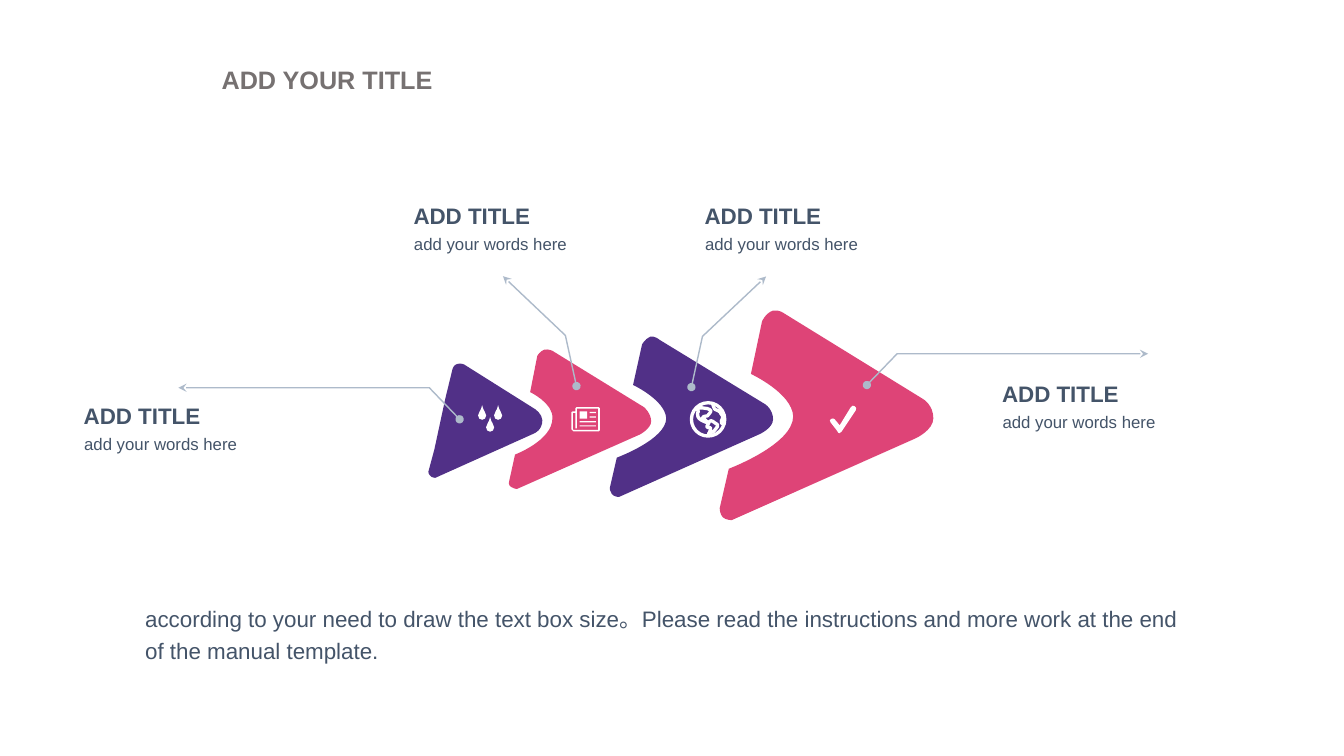
from lxml import etree
from pptx import Presentation
from pptx.dml.color import RGBColor
from pptx.enum import shapes, text
from pptx.oxml import ns
from pptx.util import Pt

PINK, PURPLE, WHITE = "DE4477", "513087", "FFFFFF"
SLATE, GREY, LEADER = "445469", "767171", "ADBACA"
GLOBE_LINE = 2.38

# Outlines in points: (x, y) is a straight step, six numbers are a Bezier step.
ARROWS = [
    (PINK, [
        (666.7, 298.8), (666.7, 307.4, 653.8, 313.2, 653.8, 313.2),
        (522.7, 371.5), (522.7, 371.5, 518.4, 371.5, 516.2, 369.4),
        (514.1, 367.2, 514.1, 362.9, 514.1, 362.9), (520.6, 334.8),
        (520.6, 334.8, 566.6, 317.5, 566.6, 297.4),
        (565.9, 280.8, 536.4, 267.1, 536.4, 267.1), (544.3, 229.7),
        (544.3, 229.7, 546.5, 223.9, 552.2, 221.8),
        (556.6, 221, 560.2, 223.9, 560.2, 223.9), (659.5, 285.1),
        (659.5, 285.1, 666.7, 289.4, 666.7, 298.8)]),
    (PURPLE, [
        (552.2, 299.5), (552.2, 306, 542.2, 310.3, 542.2, 310.3),
        (442.1, 355), (442.1, 355, 438.5, 355, 437, 352.8),
        (435.6, 351.4, 435.6, 348.5, 435.6, 348.5), (440.6, 326.9),
        (440.6, 326.9, 475.9, 313.9, 475.9, 298.8),
        (475.2, 285.8, 452.2, 275, 452.2, 275), (458.6, 246.2),
        (458.6, 246.2, 460.1, 242.6, 464.4, 240.5),
        (468, 239.8, 470.9, 242.6, 470.9, 242.6), (546.5, 288.7),
        (546.5, 288.7, 552.2, 292.3, 552.2, 299.5)]),
    (PINK, [
        (465.1, 301), (465.1, 306, 457.2, 310.3, 457.2, 310.3),
        (369.4, 349.2), (369.4, 349.2, 366.5, 349.2, 365, 347.8),
        (362.9, 346.3, 363.6, 344.2, 363.6, 344.2), (367.9, 324.7),
        (367.9, 324.7, 394.6, 314.6, 394.6, 298.8),
        (395.3, 288, 378.7, 280.1, 378.7, 280.1), (383.8, 254.2),
        (383.8, 254.2, 385.9, 250.6, 388.8, 249.8),
        (391.7, 249.1, 394.6, 250.6, 394.6, 250.6), (460.1, 290.9),
        (460.1, 290.9, 465.1, 295.2, 465.1, 301)]),
    (PURPLE, [
        (318.2, 284.4), (323.3, 263.5), (323.3, 263.5, 324, 260.6, 326.9, 259.9),
        (329.8, 259.2, 331.9, 260.6, 331.9, 260.6), (382.3, 292.3),
        (382.3, 292.3, 387.4, 295.9, 387.4, 300.2),
        (387.4, 307.4, 381.6, 309.6, 381.6, 309.6), (311, 341.3),
        (311, 341.3, 308.9, 341.3, 308.2, 340.6),
        (306, 339.1, 306, 337, 306, 337), (310.3, 321.1)]),
]
LEADERS = [
    [(619.2, 275), (640.8, 252.7), (820.1, 252.7)],
    [(328.3, 299.5), (306.7, 277), (127.4, 277)],
    [(493.9, 276.5), (501.8, 240.3), (547.2, 197.5)],
    [(411.8, 275.8), (403.9, 239.6), (359.3, 197.3)],
]
DROP = [(0, 0), (-0.7, 4.3, -2.9, 5, -2.9, 7.4), (-2.9, 9.2, -1.6, 10.5, 0, 10.5),
        (1.6, 10.5, 2.9, 9.2, 2.9, 7.4), (2.9, 5, 0.7, 4.3, 0, 0)]
DROP_TIPS = [(344.4, 289.4), (355.8, 289.4), (350.1, 297.9)]
TICK = [
    (599.8, 309.4), (599, 309.4, 598.3, 308.9, 598.3, 308.2), (593.3, 301.7),
    (592.6, 301, 592.6, 299.8, 593.5, 299.3),
    (594.7, 298.6, 595.6, 298.8, 596.2, 299.5), (599.8, 303.8), (607.7, 290.9),
    (608.4, 289.6, 609.8, 289.4, 610.6, 290.2),
    (611.5, 290.9, 612, 291.8, 611.3, 293), (601.2, 308.2),
    (601.2, 308.9, 600.5, 309.2, 599.8, 309.4)]
PAPER = [
    [(427.7, 290.9), (411.8, 290.9), (411, 291.6), (411, 293.8), (409, 293.8),
     (408.2, 294.5), (408.2, 306.7), (409.7, 308.2), (427.7, 308.2),
     (428.4, 307.4), (428.4, 291.6)],
    [(427.2, 307.2), (409.7, 307.2), (409.2, 306.7), (409.2, 294.9), (411, 294.9),
     (411, 306), (412, 306), (412, 292), (427.2, 292)]]
PAPER_BARS = [(414, 293.8, 5.4, 5.2), (421.2, 294.3, 4.5, 0.8),
              (421.2, 297.5, 4.5, 0.8), (414, 300.9, 11.7, 0.8),
              (414, 303.8, 11.7, 0.8)]
GLOBE = (493.9, 287.7, 23.8, 23.8)
LANDS = [
    ([(498.2, 295.2), (498.2, 296.6, 498.2, 298.8, 501.1, 300.2),
      (504, 301.7, 504.7, 301.7, 504.7, 301.7),
      (505.4, 301.7, 504, 301.7, 504.7, 301),
      (504.7, 300.2, 504, 300.2, 504, 300.2),
      (503.3, 300.2, 503.3, 299.5, 503.3, 299.5),
      (503.3, 298.8, 502.6, 300.2, 501.8, 298.8),
      (501.8, 298.1, 502.6, 297.4, 503.3, 297.4),
      (505.4, 298.1, 505.4, 296.6, 506.9, 295.2),
      (509.8, 293, 505.4, 291.6, 503.3, 291.6),
      (500.4, 290.9, 497.5, 291.6, 498.2, 292.3),
      (499, 293.8, 499, 294.5, 498.2, 295.2)], True),
    ([(505.4, 303.8), (505.4, 305.3, 504, 303.8, 505.4, 305.3),
      (506.9, 306.7, 507.6, 303.8, 507.6, 306.7),
      (506.9, 310.3, 504.7, 310.3, 506.9, 309.6),
      (509, 308.9, 508.3, 309.6, 509.8, 308.2),
      (511.2, 306.7, 511.9, 305.3, 512.6, 304.6),
      (513.4, 303.1, 511.9, 303.1, 511.2, 302.4),
      (509.8, 301.7, 508.3, 299.5, 506.9, 301),
      (506.2, 302.4, 505.4, 303.8, 505.4, 303.8)], True),
    ([(509, 288), (509, 288.7, 509.8, 290.9, 510.5, 292.3),
      (511.9, 293, 514.8, 293.8, 514.8, 295.2),
      (515.5, 296.6, 517, 297.4, 516.2, 298.8),
      (515.5, 299.5, 514.8, 301.7, 515.5, 302.4),
      (517, 303.8, 517, 302.4, 517, 302.4)], False),
]
LABELS = [(295.4, 144.4), (503.3, 144.4), (715.8, 271.6), (59.8, 287.5)]
LABEL_TITLE, LABEL_WORDS = "ADD TITLE", "add your words here"
BODY = ("according to your need to draw the text box size。Please read the "
        "instructions and more work at the end of the manual template.")
TITLE = "ADD YOUR TITLE"

prs = Presentation()
prs.slide_width, prs.slide_height = Pt(960), Pt(540)
slide = prs.slides.add_slide(prs.slide_layouts[6])


def rgb(hex_color):
    return RGBColor.from_string(hex_color)


def paint(s, fill=None, line=None, width=1):
    s.shadow.inherit = False
    if fill:
        s.fill.solid()
        s.fill.fore_color.rgb = rgb(fill)
    else:
        s.fill.background()
    if line:
        s.line.color.rgb = rgb(line)
        s.line.width = Pt(width)
    else:
        s.line.fill.background()
    return s


def bend(s, contours):
    """Turn the straight segments of a freeform into Beziers where a step has controls."""
    steps = [step for contour in contours for step in contour[1:]]
    segments = list(s._element.iter(ns.qn("a:lnTo")))
    for segment, step in zip(segments, steps):
        if len(step) == 6:
            curve = etree.Element(ns.qn("a:cubicBezTo"))
            for x, y in zip(step[::2], step[1::2]):
                etree.SubElement(curve, ns.qn("a:pt"),
                                 x=str(Pt(x) - s.left), y=str(Pt(y) - s.top))
            segment.getparent().replace(segment, curve)


def add_outline(*contours, close=True, **style):
    first, *others = [[(Pt(step[-2]), Pt(step[-1])) for step in contour]
                      for contour in contours]
    fb = slide.shapes.build_freeform(*first[0])
    fb.add_line_segments(first[1:], close=close)
    for pts in others:
        fb.move_to(*pts[0])
        fb.add_line_segments(pts[1:], close=close)
    s = fb.convert_to_shape()
    bend(s, contours)
    return paint(s, **style)


def add_preset(kind, box, **style):
    return paint(slide.shapes.add_shape(kind, *map(Pt, box)), **style)


def add_text(words, box, size, color=SLATE, bold=False, inset=0, wrap=True, spacing=None):
    tf = slide.shapes.add_textbox(*map(Pt, box)).text_frame
    tf.word_wrap = wrap
    tf.auto_size = text.MSO_AUTO_SIZE.SHAPE_TO_FIT_TEXT
    for side, gap in {"left": 2 * inset, "right": 2 * inset,
                      "top": inset, "bottom": inset}.items():
        setattr(tf, f"margin_{side}", Pt(gap))
    p = tf.paragraphs[0]
    p.line_spacing = spacing
    r = p.add_run()
    r.text = words
    for name, value in {"name": "Arial", "size": Pt(size), "bold": bold}.items():
        setattr(r.font, name, value)
    r.font.color.rgb = rgb(color)


for color, outline in ARROWS:
    add_outline(outline, fill=color)

for route in LEADERS:
    s = add_outline(route, close=False, line=LEADER)
    ln = s.line._get_or_add_ln()
    for end, kind in (("a:headEnd", "oval"), ("a:tailEnd", "stealth")):
        etree.SubElement(ln, ns.qn(end), type=kind)

drops = [[tuple(v + tip[i % 2] for i, v in enumerate(step)) for step in DROP]
         for tip in DROP_TIPS]
for icon in (drops, [TICK], PAPER):
    add_outline(*icon, fill=WHITE)
for bar in PAPER_BARS:
    add_preset(shapes.MSO_SHAPE.RECTANGLE, bar, fill=WHITE)
add_preset(shapes.MSO_SHAPE.OVAL, GLOBE, line=WHITE, width=GLOBE_LINE)
for land, closed in LANDS:
    add_outline(land, close=closed, line=WHITE, width=GLOBE_LINE)

for x, y in LABELS:
    add_text(LABEL_TITLE, (x, y, 116, 19.4), 16, bold=True)
    add_text(LABEL_WORDS, (x + 0.3, y + 22.6, 123, 14.4), 12)
add_text(BODY, (103.7, 428.4, 750.2, 46.8), 16, spacing=1.2)
add_text(TITLE, (151.2, 42.5, 167, 28.8), 18, GREY, bold=True, inset=3.6, wrap=False)

prs.save("out.pptx")
